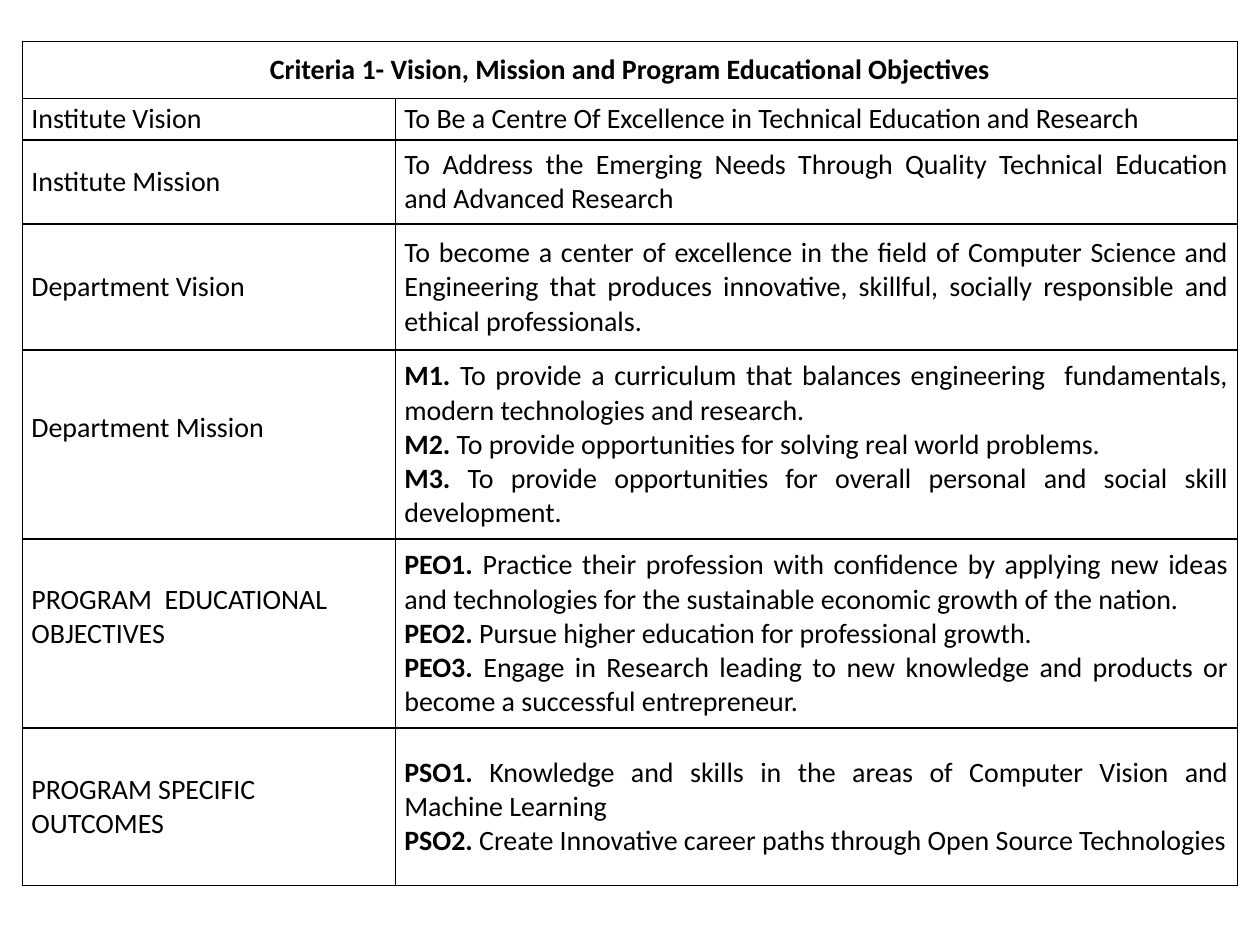
"""Build a slide with a table of vision, mission and programme objectives."""
from lxml import etree
from pptx import Presentation
from pptx.dml.color import RGBColor
from pptx.enum.text import MSO_VERTICAL_ANCHOR as Anchor, PP_ALIGN as Align
from pptx.oxml.ns import qn
from pptx.util import Inches, Pt

BLACK, WHITE = "000000", "FFFFFF"
HEADING = "Criteria 1- Vision, Mission and Program Educational Objectives"
LINE_HEIGHT = 0.27

# Row height, label lines, bottom inset of the label, (bold code, statement) pairs
ROWS = [
    (0.33, ["Institute Vision"], 0,
     [("", "To Be a Centre Of Excellence in Technical Education and Research")]),
    (0.67, ["Institute Mission"], 0,
     [("", "To Address the Emerging Needs Through Quality Technical Education "
           "and Advanced Research")]),
    (1, ["Department Vision"], 0,
     [("", "To become a center of excellence in the field of Computer Science and "
           "Engineering that produces innovative, skillful, socially responsible "
           "and ethical professionals.")]),
    (1.5, ["Department Mission"], LINE_HEIGHT,
     [("M1.", " To provide a curriculum that balances engineering  fundamentals, "
              "modern technologies and research."),
      ("M2.", " To provide opportunities for solving real world problems."),
      ("M3.", " To provide opportunities for overall personal and social skill "
              "development.")]),
    (1.5, ["PROGRAM  EDUCATIONAL", "OBJECTIVES"], LINE_HEIGHT,
     [("PEO1.", " Practice their profession with confidence by applying new ideas "
                "and technologies for the sustainable economic growth of the nation."),
      ("PEO2.", " Pursue higher education for professional growth."),
      ("PEO3.", " Engage in Research leading to new knowledge and products or "
                "become a successful entrepreneur.")]),
    (1.25, ["PROGRAM SPECIFIC", "OUTCOMES"], 0,
     [("PSO1.", " Knowledge and skills in the areas of Computer Vision and "
                "Machine Learning"),
      ("PSO2.", " Create Innovative career paths through Open Source Technologies")]),
]
HEADING_HEIGHT = 0.45
COLUMN_WIDTHS = [2.96, 6.68]
LEFT, TOP = 0.18, 0.33
FONT = {"name": "Calibri", "size": Pt(16)}
CELL = {"vertical_anchor": Anchor.MIDDLE, "margin_left": Inches(0.07),
        "margin_right": Inches(0.07), "margin_top": 0}


def color(value):
    return RGBColor.from_string(value)


def apply(target, values):
    for name, value in values.items():
        setattr(target, name, value)


def add_borders(cell):
    properties = cell._tc.get_or_add_tcPr()
    for position, side in enumerate(("lnL", "lnR", "lnT", "lnB")):
        line = etree.Element(qn(f"a:{side}"), w=str(Pt(1)))
        fill = etree.SubElement(line, qn("a:solidFill"))
        etree.SubElement(fill, qn("a:srgbClr"), val=BLACK)
        properties.insert(position, line)


def fill_cell(cell, paragraphs, alignment, bottom=0):
    apply(cell, {**CELL, "margin_bottom": Inches(bottom)})
    cell.fill.solid()
    cell.fill.fore_color.rgb = color(WHITE)
    add_borders(cell)
    frame = cell.text_frame
    for index, parts in enumerate(paragraphs):
        paragraph = frame.add_paragraph() if index else frame.paragraphs[0]
        paragraph.alignment = alignment
        for text, bold in zip(parts, (True, False)):
            if text:
                run = paragraph.add_run()
                run.text = text
                apply(run.font, {**FONT, "bold": bold})
                run.font.color.rgb = color(BLACK)


presentation = Presentation()
presentation.slide_width, presentation.slide_height = Inches(10), Inches(7.5)
slide = presentation.slides.add_slide(presentation.slide_layouts[6])

heights = [HEADING_HEIGHT] + [row[0] for row in ROWS]
table = slide.shapes.add_table(
    len(heights), len(COLUMN_WIDTHS), Inches(LEFT), Inches(TOP),
    Inches(sum(COLUMN_WIDTHS)), Inches(sum(heights))).table
apply(table, {"first_row": False, "horz_banding": False})
for column, width in zip(table.columns, COLUMN_WIDTHS):
    column.width = Inches(width)
for row, height in zip(table.rows, heights):
    row.height = Inches(height)

table.cell(0, 0).merge(table.cell(0, 1))
fill_cell(table.cell(0, 0), [(HEADING, "")], Align.CENTER)
add_borders(table.cell(0, 1))
for index, (_, label, bottom, statements) in enumerate(ROWS, 1):
    fill_cell(table.cell(index, 0), [("", line) for line in label], Align.LEFT, bottom)
    fill_cell(table.cell(index, 1), statements, Align.JUSTIFY)

presentation.save("out.pptx")
